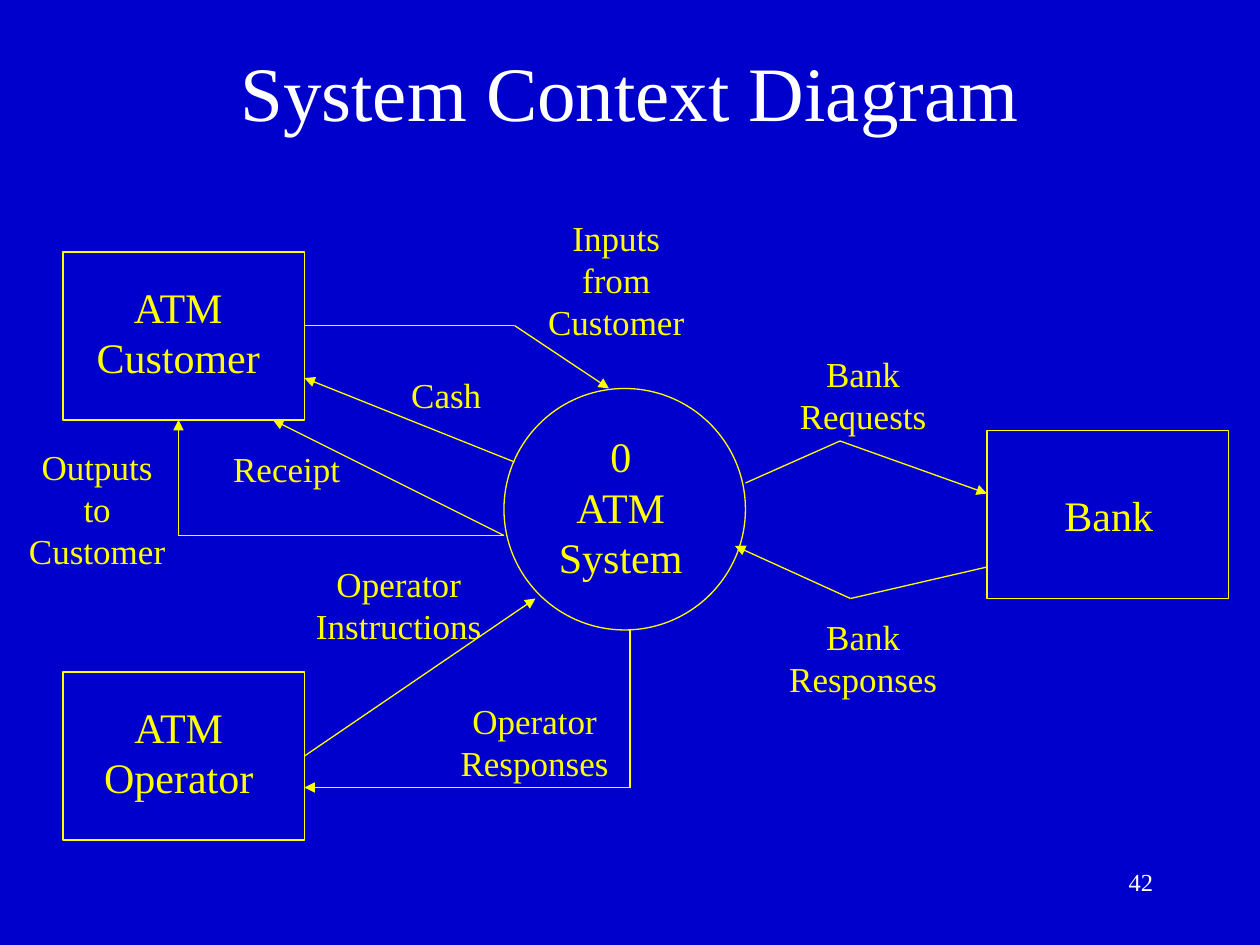
from itertools import pairwise

from lxml import etree
from pptx import Presentation
from pptx.dml.color import RGBColor
from pptx.enum.shapes import MSO_CONNECTOR, MSO_SHAPE
from pptx.enum.text import MSO_ANCHOR, MSO_AUTO_SIZE, PP_ALIGN
from pptx.oxml.ns import qn
from pptx.util import Pt

BLUE = RGBColor(0x00, 0x00, 0xCC)
YELLOW = RGBColor(0xFF, 0xFF, 0x00)
WHITE = RGBColor(0xFF, 0xFF, 0xFF)
STRAIGHT = MSO_CONNECTOR.STRAIGHT
RECTANGLE = MSO_SHAPE.RECTANGLE
OVAL = MSO_SHAPE.OVAL
MIDDLE = MSO_ANCHOR.MIDDLE
FIT_SHAPE = MSO_AUTO_SIZE.SHAPE_TO_FIT_TEXT
CENTER = PP_ALIGN.CENTER
RIGHT = PP_ALIGN.RIGHT


def write_text(frame, text, *, size, color, font, align=CENTER):
    for index, line in enumerate(text.split("\n")):
        para = frame.add_paragraph() if index else frame.paragraphs[0]
        para.alignment = align
        span = para.add_run()
        span.text = line
        span.font.size = Pt(size)
        span.font.name = font
        span.font.color.rgb = color


class Diagram:
    font = "Times New Roman"
    line_width = 0.75
    node_size = 24
    label_size = 20
    side_margin = 6

    def __init__(self, page):
        self.page = page
        fill = page.background.fill
        fill.solid()
        fill.fore_color.rgb = BLUE

    def title(self, text, left, top, width, height):
        box = self.page.shapes.title
        box.left, box.top, box.width, box.height = map(Pt, (left, top, width, height))
        box.text_frame.vertical_anchor = MIDDLE
        write_text(box.text_frame, text, size=44, color=WHITE, font=self.font)

    def outline(self, kind, left, top, width, height):
        shape = self.page.shapes.add_shape(kind, *map(Pt, (left, top, width, height)))
        shape.shadow.inherit = False
        shape.fill.background()
        shape.line.color.rgb = YELLOW
        shape.line.width = Pt(self.line_width)

    def label(self, text, left, top, width, size=label_size):
        height = (text.count("\n") + 1) * size * 1.2 + 7.2
        box = self.page.shapes.add_textbox(*map(Pt, (left, top, width, height)))
        frame = box.text_frame
        frame.word_wrap = False
        frame.auto_size = FIT_SHAPE
        frame.margin_left = frame.margin_right = Pt(self.side_margin)
        write_text(frame, text, size=size, color=YELLOW, font=self.font)

    def flow(self, *points):
        for start, end in pairwise(points):
            line = self.page.shapes.add_connector(STRAIGHT, *map(Pt, start + end))
            line.line.color.rgb = YELLOW
            line.line.width = Pt(self.line_width)
            properties = line._element.spPr
            etree.SubElement(properties, qn("a:effectLst"))
            if end == points[-1]:
                stroke = properties.find(qn("a:ln"))
                etree.SubElement(stroke, qn("a:tailEnd"), type="triangle")

    def page_number(self, text, left, top, width, height):
        box = self.page.shapes.add_textbox(*map(Pt, (left, top, width, height)))
        box.text_frame.word_wrap = True
        write_text(box.text_frame, text, size=14, color=WHITE, font=self.font, align=RIGHT)


def main():
    deck = Presentation()
    deck.slide_width, deck.slide_height = Pt(720), Pt(540)
    diagram = Diagram(deck.slides.add_slide(deck.slide_layouts[5]))
    diagram.title("System Context Diagram", 54, 6.8, 612, 90)

    diagram.outline(OVAL, 288, 222, 138, 138)
    for left, top in ((36, 144), (564, 246), (36, 384)):
        diagram.outline(RECTANGLE, left, top, 138, 96)

    for text, left, top, width in (
        ("0\nATM\nSystem", 312.2, 242.6, 85),
        ("ATM\nCustomer", 48.2, 157.2, 107.3),
        ("Bank", 601.2, 276, 64.8),
        ("ATM\nOperator", 52.4, 397.2, 99.4),
    ):
        diagram.label(text, left, top, width, diagram.node_size)

    for points in (
        ((174, 186), (294, 186), (348, 222)),
        ((294, 264), (174, 216)),
        ((288, 306), (156, 240)),
        ((288, 306), (102, 306), (102, 240)),
        ((174, 432), (306, 342)),
        ((360, 360), (360, 450), (174, 450)),
        ((426, 276), (480, 252), (564, 282)),
        ((564, 324), (486, 342), (420, 312)),
    ):
        diagram.flow(*points)

    for text, left, top, width in (
        ("Inputs\nfrom\nCustomer", 306, 120, 92.2),
        ("Cash", 228, 210, 54),
        ("Receipt", 126, 252, 75.6),
        ("Outputs\nto\nCustomer", 9.4, 250.8, 92.2),
        ("Operator\nInstructions", 173.5, 318, 108.7),
        ("Operator\nResponses", 256.2, 396, 98.6),
        ("Bank\nRequests", 450, 198, 86.4),
        ("Bank\nResponses", 444, 348, 98.6),
    ):
        diagram.label(text, left, top, width)

    diagram.page_number("42", 516, 492, 150, 36)
    deck.save("out.pptx")


if __name__ == "__main__":
    main()
